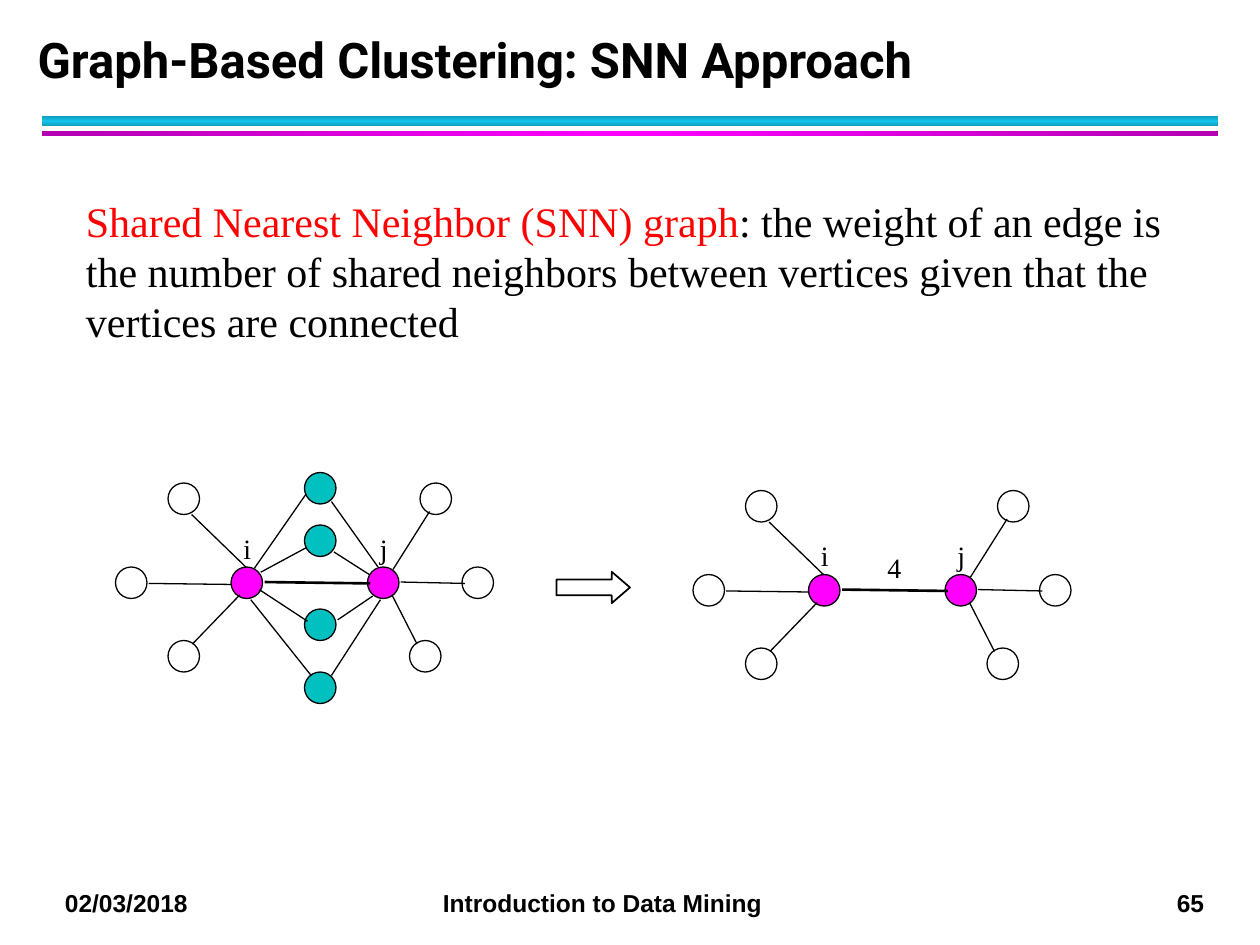
from lxml.etree import SubElement
from pptx import Presentation
from pptx.dml.color import RGBColor
from pptx.enum.shapes import MSO_CONNECTOR, MSO_SHAPE
from pptx.enum.text import MSO_ANCHOR
from pptx.oxml.ns import qn
from pptx.util import Pt

BLACK = RGBColor(0, 0, 0)
RED = RGBColor(0xFF, 0, 0)
PINK = RGBColor(0xFF, 0, 0xFF)
PLUM = RGBColor(0xB2, 0, 0xB2)
TEAL = RGBColor(0, 0xC0, 0xC0)
CYAN = RGBColor(0x12, 0xC2, 0xE9)
DEEP = RGBColor(0x0E, 0x9B, 0xBA)
SERIF = "Times New Roman"

# Content
TITLE = "Graph-Based Clustering: SNN Approach"
TERM = "Shared Nearest Neighbor (SNN) graph"
REST = (": the weight of an edge is the number of shared neighbors between "
        "vertices given that the vertices are connected")
FOOTER = ["02/03/2018", "Introduction to Data Mining", "65"]
TABS = [(216, "l"), (651, "r")]

# Bars under the title: top, height, edge colour, middle colour, angle
BARS = [(66.2, 6, DEEP, CYAN, 90), (74.8, 2.9, PLUM, PINK, 0)]

# Graph parts, placed as in the left graph; the right one is shifted
SIZE = 18
SHIFT = (330, 4.3)
HUBS = {"i": (132, 324), "j": (210, 324)}
OUTER = [(96, 366), (66, 324), (96, 276), (240, 276), (234, 366), (264, 324)]
SHARED = [(174, y) for y in (270, 300, 348, 384)]
MAIN = (151.2, 332.6, 211.7, 333.4)
SPOKES = [
    (110, 368, 137, 340), (85, 333.4, 132.5, 334), (109.5, 294, 140.5, 324),
    (229, 332.6, 265.7, 333.4), (238.3, 368, 224, 340),
    (224.6, 325.4, 245.5, 292.3),
]
LINKS = [
    (149, 327, 175, 313), (148.3, 337, 175.7, 355),
    (177.8, 386, 143.3, 342.7), (145.4, 324.7, 175, 282.2),
    (193, 354.2, 213, 340.6), (189.4, 386, 217.4, 342.7),
    (211, 328.3, 190.8, 315.4), (216, 324, 189.4, 286.6),
]

deck = Presentation()
deck.slide_width, deck.slide_height = Pt(720), Pt(540)
slide = deck.slides.add_slide(deck.slide_layouts[6])
shapes = slide.shapes


def style(font, size, name=SERIF, color=BLACK, bold=False):
    font.size, font.name, font.bold = Pt(size), name, bold
    font.color.rgb = color


def add_text(text, x, y, w, h):
    frame = shapes.add_textbox(Pt(x), Pt(y), Pt(w), Pt(h)).text_frame
    frame.word_wrap = True
    frame.text = text
    return frame


def add_shape(kind, x, y, w, h, fill=None, line=0.75):
    shape = shapes.add_shape(kind, Pt(x), Pt(y), Pt(w), Pt(h))
    shape.shadow.inherit = False
    if fill is None:
        shape.fill.background()
    else:
        shape.fill.solid()
        shape.fill.fore_color.rgb = fill
    shape.line.color.rgb = BLACK
    shape.line.width = Pt(line)
    return shape


def add_edge(ends, dx, dy, width=0.75):
    x1, y1, x2, y2 = ends
    edge = shapes.add_connector(MSO_CONNECTOR.STRAIGHT, Pt(x1 + dx),
                                Pt(y1 + dy), Pt(x2 + dx), Pt(y2 + dy))
    edge.line.color.rgb = BLACK
    edge.line.width = Pt(width)
    SubElement(edge.element.spPr, qn("a:effectLst"))


def add_label(text, x, y, w=24):
    frame = add_text(text, x, y, w, 26.6)
    style(frame.paragraphs[0].runs[0].font, 16)


def add_graph(dx, dy, shared, links):
    nodes = [(spot, PINK) for spot in HUBS.values()]
    nodes += [(spot, TEAL) for spot in shared]
    nodes += [(spot, None) for spot in OUTER]
    for (x, y), fill in nodes:
        add_shape(MSO_SHAPE.OVAL, x + dx, y + dy, SIZE, SIZE, fill)
    for name, (x, y) in HUBS.items():
        add_label(name, x + dx, y + dy - 24)
    for ends in SPOKES + links:
        add_edge(ends, dx, dy)
    add_edge(MAIN, dx, dy, 1.5)


# Title bars
for top, high, edge, mid, angle in BARS:
    bar = add_shape(MSO_SHAPE.RECTANGLE, 24, top, 672, high, edge)
    bar.line.fill.background()
    bar.fill.gradient()
    bar.fill.gradient_angle = angle
    stops = bar.fill.gradient_stops
    for stop, color, place in zip(stops, (edge, edge), (0, 1)):
        stop.color.rgb, stop.position = color, place
    # Middle stop
    grads = bar.element.spPr.find(qn("a:gradFill")).find(qn("a:gsLst"))
    stop = SubElement(grads, qn("a:gs"), pos="50000")
    SubElement(stop, qn("a:srgbClr"), val=str(mid))
    grads.insert(1, stop)

# Title
frame = add_text(TITLE, 14.4, 12, 680.4, 42)
frame.vertical_anchor = MSO_ANCHOR.BOTTOM
para = frame.paragraphs[0]
para.line_spacing = Pt(36)
style(para.runs[0].font, 28, "Roboto", bold=True)

# Definition
para = add_text(TERM, 42, 108, 636, 93.6).paragraphs[0]
para.add_run().text = REST
for run, color in zip(para.runs, (RED, BLACK)):
    style(run.font, 24, color=color)

# Graphs and the arrow between them
add_graph(0, 0, SHARED, LINKS)
add_graph(*SHIFT, [], [])
add_label("4", 500, 311, 26.6)
arrow = add_shape(MSO_SHAPE.RIGHT_ARROW, 318, 326.7, 42, 18, line=1)
arrow.adjustments[0], arrow.adjustments[1] = 0.5, 0.58

# Footer
para = add_text("\t".join(FOOTER), 30, 504, 672, 24.5).paragraphs[0]
tabs = SubElement(para._p.get_or_add_pPr(), qn("a:tabLst"))
for place, side in TABS:
    SubElement(tabs, qn("a:tab"), pos=str(Pt(place)), algn=side)
style(para.runs[0].font, 14, "Arial", bold=True)

deck.save("out.pptx")
